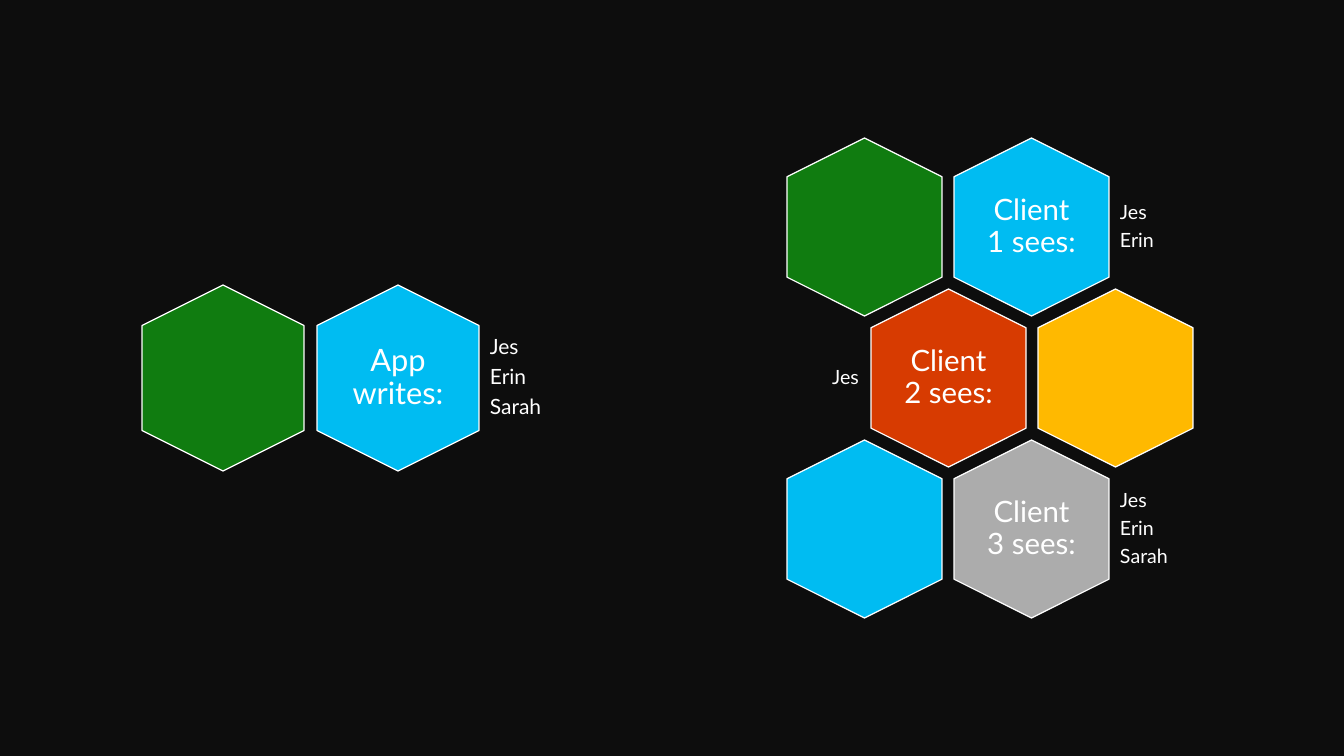
from pptx import Presentation
from pptx import util as u
from pptx.dml.color import RGBColor
from pptx.enum import shapes, text

PX = 914400 / 100.8
FONT = "Lato"
COLORS = {
    "background": "0D0D0D", "white": "FFFFFF", "green": "107C10", "blue": "00BCF2",
    "red": "D73B01", "yellow": "FFB900", "gray": "ACACAC",
}
LEFT, CENTER, RIGHT = text.PP_ALIGN.LEFT, text.PP_ALIGN.CENTER, text.PP_ALIGN.RIGHT


def px(n):
    return u.Emu(round(n * PX))


def rgb(name):
    return RGBColor.from_string(COLORS[name])


def add_text(s, box, lines, size, align, inset):
    tf = s.shapes.add_textbox(*map(px, box)).text_frame
    tf.word_wrap = True
    tf.vertical_anchor = text.MSO_ANCHOR.MIDDLE
    tf.margin_left = tf.margin_right = tf.margin_top = tf.margin_bottom = px(inset)
    for i, line in enumerate(lines):
        p = tf.add_paragraph() if i else tf.paragraphs[0]
        p.alignment = align
        p.line_spacing = 0.9
        p.space_after = u.Pt(round(size * 0.35, 1))
        r = p.add_run()
        r.text = line
        r.font.name = FONT
        r.font.size = u.Pt(size)
        r.font.color.rgb = rgb("white")


def add_hexagon(s, cx, cy, width, height, color):
    # Turned a quarter, so its unrotated length is the visible height
    sp = s.shapes.add_shape(shapes.MSO_SHAPE.HEXAGON, px(cx - height / 2),
                            px(cy - width / 2), px(height), px(width))
    sp.rotation = 90
    sp.adjustments[0] = 0.25
    sp.adjustments[1] = 1.1547
    sp.shadow.inherit = False
    sp.fill.solid()
    sp.fill.fore_color.rgb = rgb(color)
    sp.line.color.rgb = rgb("white")
    sp.line.width = u.Pt(0.85)


def add_cell(s, box, color, label, names, sizes, side=RIGHT):
    """One hexagon, with its label inside and the names beside it."""
    x, y, w, h = box
    cx, cy = x + w / 2, y + h / 2
    add_hexagon(s, cx, cy, w, h, color)
    if not label:
        return
    label_w, label_h = round(w * 0.69), round(h * 0.69)
    add_text(s, (cx - label_w / 2, cy - label_h / 2, label_w, label_h),
             [label], sizes[0], CENTER, 9)
    names_w, names_h = round(w * 1.28), round(h * 0.6)
    if side == RIGHT:
        names_x, align = x + w + 5, LEFT
    else:
        names_x, align = x - 6 - names_w, RIGHT
    add_text(s, (names_x, cy - names_h / 2, names_w, names_h), names, sizes[1], align, 6)


def app_region(s, x, y):
    w, h, pitch = 162, 186, 175
    cells = [("green", None, []), ("blue", "App writes:", ["Jes", "Erin", "Sarah"])]
    for i, (color, label, names) in enumerate(cells):
        add_cell(s, (x + i * pitch, y, w, h), color, label, names, (22, 15))


def clients_region(s, x, y):
    w, h, pitch_x, pitch_y, shift = 155, 178, 167, 151, 84
    rows = [
        [("green", None, []), ("blue", "Client 1 sees:", ["Jes", "Erin"])],
        [("red", "Client 2 sees:", ["Jes"]), ("yellow", None, [])],
        [("blue", None, []), ("gray", "Client 3 sees:", ["Jes", "Erin", "Sarah"])],
    ]
    for r, row in enumerate(rows):
        for c, (color, label, names) in enumerate(row):
            box = (x + c * pitch_x + r % 2 * shift, y + r * pitch_y, w, h)
            add_cell(s, box, color, label, names, (21, 14), LEFT if r % 2 else RIGHT)


def main():
    prs = Presentation()
    prs.slide_width, prs.slide_height = px(1344), px(756)
    s = prs.slides.add_slide(prs.slide_layouts[6])
    s.background.fill.solid()
    s.background.fill.fore_color.rgb = rgb("background")
    app_region(s, 142, 285)
    clients_region(s, 787, 138)
    prs.save("out.pptx")


if __name__ == "__main__":
    main()
